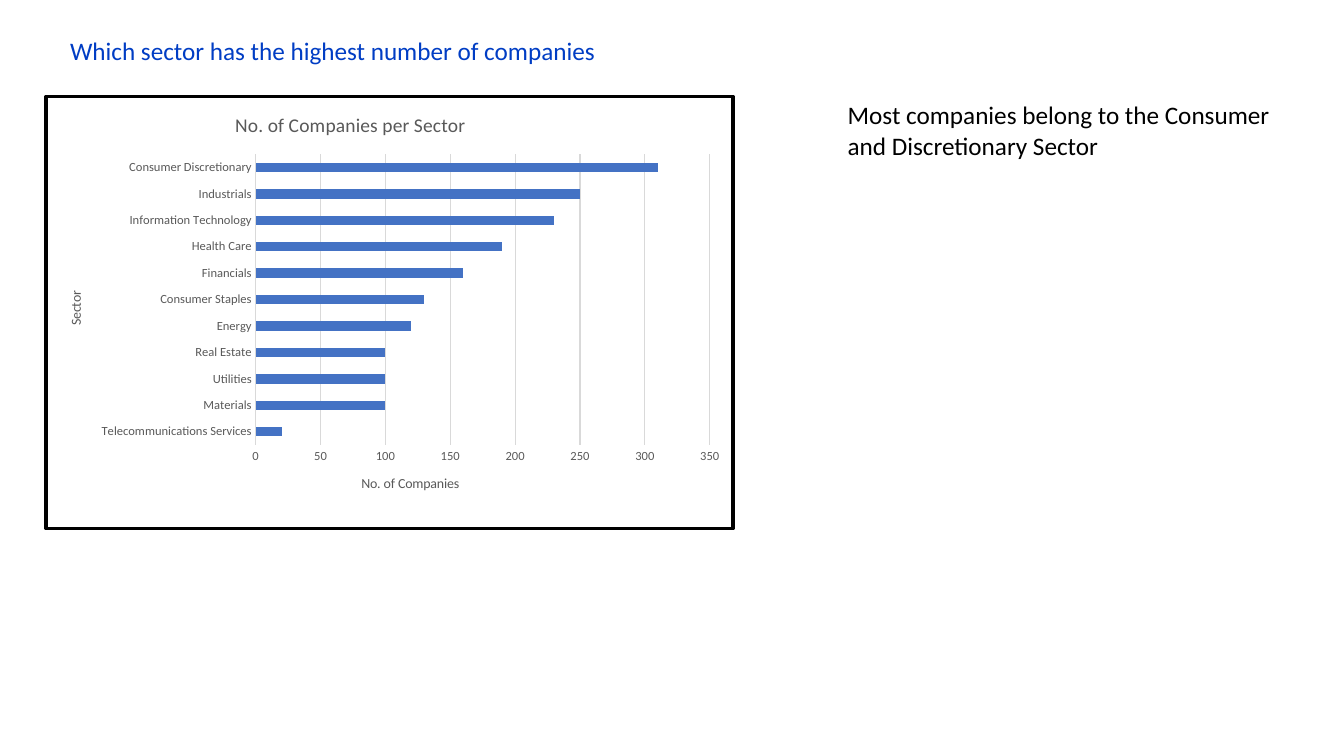
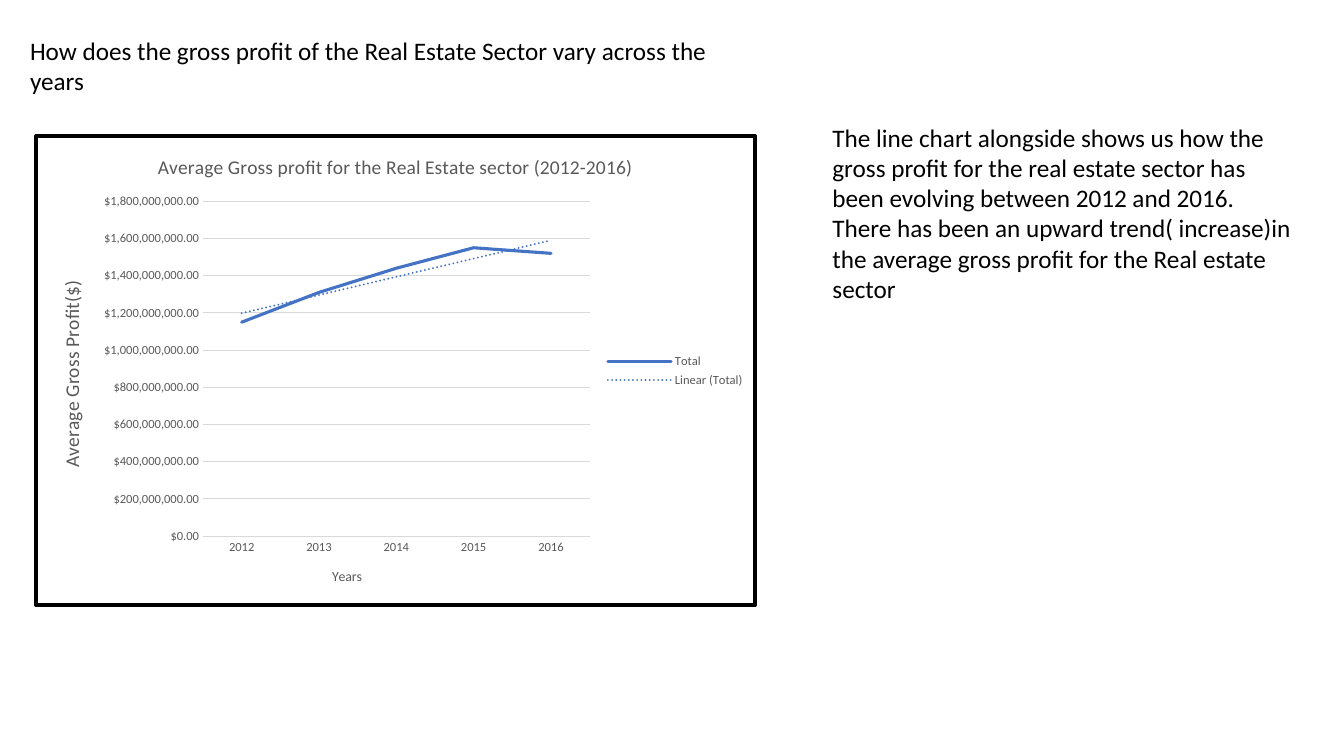
from lxml import etree
from pptx import Presentation
from pptx.chart.data import CategoryChartData
from pptx.dml.color import RGBColor
from pptx.enum.chart import XL_CHART_TYPE, XL_LEGEND_POSITION, XL_TICK_MARK
from pptx.enum.text import PP_ALIGN
from pptx.oxml import parse_xml
from pptx.util import Inches, Pt

BAR, LINE = XL_CHART_TYPE.BAR_CLUSTERED, XL_CHART_TYPE.LINE
RIGHT, NO_TICK = XL_LEGEND_POSITION.RIGHT, XL_TICK_MARK.NONE
LEFT, CENTER = PP_ALIGN.LEFT, PP_ALIGN.CENTER

FONT = "Calibri"
BLACK, BLUE, GRAY, RULE, MARK = "000000", "003DC4", "595959", "D9D9D9", "4472C4"
NS = ('xmlns:c="http://schemas.openxmlformats.org/drawingml/2006/chart" '
      'xmlns:a="http://schemas.openxmlformats.org/drawingml/2006/main"')
C = "{http://schemas.openxmlformats.org/drawingml/2006/chart}"

# Boxes are (left, top, width, height) in percent of the slide;
# places inside a chart are in percent of the chart.
SLIDES = [
    {
        "head": ("Which sector has the highest number of companies",
                 (1.88, 4, 45.75, 5.33), BLUE, CENTER),
        "note": (["Most companies belong to the Consumer and Discretionary Sector"],
                 (62.33, 12.53, 34.43, 13.47)),
        "chart": {
            "kind": BAR, "box": (3.3, 12.53, 51.38, 57.6), "border": 2.5,
            "title": ("No. of Companies per Sector", 14, (27, 2.7)),
            "cat": ("Sector", 10, (2.6, 44.4)),
            "val": ("No. of Companies", 10, (45.5, 86.9)),
            "plot": (30.5, 13.4, 66.1, 67.3),
            "top": 350, "step": 50, "format": "General",
            "name": "Series 1",
            "data": [("Telecommunications Services", 20), ("Materials", 100),
                     ("Utilities", 100), ("Real Estate", 100), ("Energy", 120),
                     ("Consumer Staples", 130), ("Financials", 160),
                     ("Health Care", 190), ("Information Technology", 230),
                     ("Industrials", 250), ("Consumer Discretionary", 310)],
        },
    },
    {
        "head": ("How does the gross profit of the Real Estate Sector vary "
                 "across the years", (1.5, 4, 54.9, 13.47), BLACK, LEFT),
        "note": (["The line chart alongside shows us how the gross profit for the "
                  "real estate sector has been evolving between 2012 and 2016.",
                  "There has been an upward trend( increase)in the average gross "
                  "profit for the Real estate sector"],
                 (61.2, 15.47, 36.23, 25.6)),
        "chart": {
            "kind": LINE, "box": (2.55, 17.73, 53.78, 62.6), "border": 3,
            "title": ("Average Gross profit for the Real Estate sector (2012-2016)",
                      14, (16.4, 2.9)),
            "cat": ("Years", 10, (40.8, 91.4)),
            "val": ("Average Gross Profit($)", 14, (2.5, 30.2)),
            "plot": (23.2, 13.9, 53.8, 71.4),
            "top": 1.8e9, "step": 2e8, "format": '"$"#,##0.00',
            "name": "Total",
            "data": [("2012", 1.15e9), ("2013", 1.31e9), ("2014", 1.44e9),
                     ("2015", 1.55e9), ("2016", 1.52e9)],
        },
    },
]

deck = Presentation()
deck.slide_width, deck.slide_height = Inches(13.333), Inches(7.5)


def color(code):
    """Turn a hex string into a colour."""
    return RGBColor.from_string(code)


def place(box):
    """Turn percent of the slide into lengths."""
    sides = (deck.slide_width, deck.slide_height) * 2
    return [int(side * part / 100) for side, part in zip(sides, box)]


def style(font, size, code):
    """Set the shared font with a size and a colour."""
    font.name, font.size, font.bold = FONT, Pt(size), False
    font.color.rgb = color(code)


def add_text(slide, lines, box, code=BLACK, align=LEFT):
    """Add a text box with one paragraph for each line."""
    frame = slide.shapes.add_textbox(*place(box)).text_frame
    frame.word_wrap = True
    for i, line in enumerate(lines):
        para = frame.paragraphs[0] if i == 0 else frame.add_paragraph()
        para.alignment = align
        run = para.add_run()
        run.text = line
        style(run.font, 18, code)


def layout(part, spot, index, inner=False):
    """Fix the place of a title or the plot inside its chart."""
    for old in part.findall(C + "layout"):
        part.remove(old)
    root = parse_xml(f"<c:layout {NS}><c:manualLayout/></c:layout>")
    rules = [("layoutTarget", "inner")] if inner else []
    rules += [("xMode", "edge"), ("yMode", "edge")]
    rules += [(tag, f"{n / 100:.3f}") for tag, n in zip("xywh", spot)]
    for tag, val in rules:
        etree.SubElement(root[0], C + tag).set("val", val)
    part.insert(index, root)


def set_title(title, text, size, spot, turn=False):
    """Write, style and place a chart or axis title."""
    frame = title.text_frame
    run = frame.paragraphs[0].add_run()
    run.text = text
    style(run.font, size, GRAY)
    if turn:
        frame._txBody.bodyPr.set("rot", "-5400000")
    layout(title._element, spot, 1)


def set_axes(chart, spec):
    """Style both axes, their titles and the grid."""
    cat, val = chart.category_axis, chart.value_axis
    for axis, key in ((cat, "cat"), (val, "val")):
        axis.major_tick_mark = axis.minor_tick_mark = NO_TICK
        style(axis.tick_labels.font, 9, GRAY)
        upright = (spec["kind"] == BAR) == (key == "cat")
        set_title(axis.axis_title, *spec[key], turn=upright)
    cat.has_major_gridlines = False
    val.has_major_gridlines = True
    for line in (cat.format.line, val.major_gridlines.format.line):
        line.color.rgb, line.width = color(RULE), Pt(0.75)
    val.format.line.fill.background()
    val.minimum_scale, val.maximum_scale = 0, spec["top"]
    val.major_unit = spec["step"]
    val.tick_labels.number_format = spec["format"]
    val.tick_labels.number_format_is_linked = False


def outline(code, width, fill="", dash="solid", cap="flat"):
    """Return shape properties with a line."""
    return (f'<c:spPr {NS}>{fill}<a:ln w="{Pt(width)}" cap="{cap}"><a:solidFill>'
            f'<a:srgbClr val="{code}"/></a:solidFill>'
            f'<a:prstDash val="{dash}"/><a:round/></a:ln></c:spPr>')


def add_trend(series):
    """Add a dotted linear trend line."""
    trend = parse_xml(
        f'<c:trendline {NS}>{outline(MARK, 1.5, dash="sysDot", cap="rnd")}'
        '<c:trendlineType val="linear"/><c:dispRSqr val="0"/>'
        '<c:dispEq val="0"/></c:trendline>')
    series._element.find(C + "cat").addprevious(trend)


def add_graph(slide, spec):
    """Add a framed bar or line chart."""
    names, values = zip(*spec["data"])
    data = CategoryChartData(number_format=spec["format"])
    data.categories = names
    data.add_series(spec["name"], values)
    chart = slide.shapes.add_chart(spec["kind"], *place(spec["box"]), data).chart
    style(chart.font, 10, BLACK)
    chart.has_title = True
    set_title(chart.chart_title, *spec["title"])
    set_axes(chart, spec)
    plot = chart.plots[0]
    plot.vary_by_categories = False
    series = plot.series[0]
    chart.has_legend = spec["kind"] == LINE
    if spec["kind"] == BAR:
        plot.gap_width = 182
        series.format.fill.solid()
        series.format.fill.fore_color.rgb = color(MARK)
    else:
        series.smooth = False
        series.format.line.color.rgb = color(MARK)
        series.format.line.width = Pt(2.25)
        series._element.spPr.ln.set("cap", "rnd")
        add_trend(series)
        chart.legend.position = RIGHT
        chart.legend.include_in_layout = False
        style(chart.legend.font, 9, GRAY)
    body = chart._chartSpace.find(C + "chart")
    layout(body.find(C + "plotArea"), spec["plot"], 0, inner=True)
    white = '<a:solidFill><a:srgbClr val="FFFFFF"/></a:solidFill>'
    body.addnext(parse_xml(outline(BLACK, spec["border"], white)))


for page in SLIDES:
    slide = deck.slides.add_slide(deck.slide_layouts[6])
    head, *look = page["head"]
    add_text(slide, [head], *look)
    add_graph(slide, page["chart"])
    add_text(slide, *page["note"])

deck.save("out.pptx")
